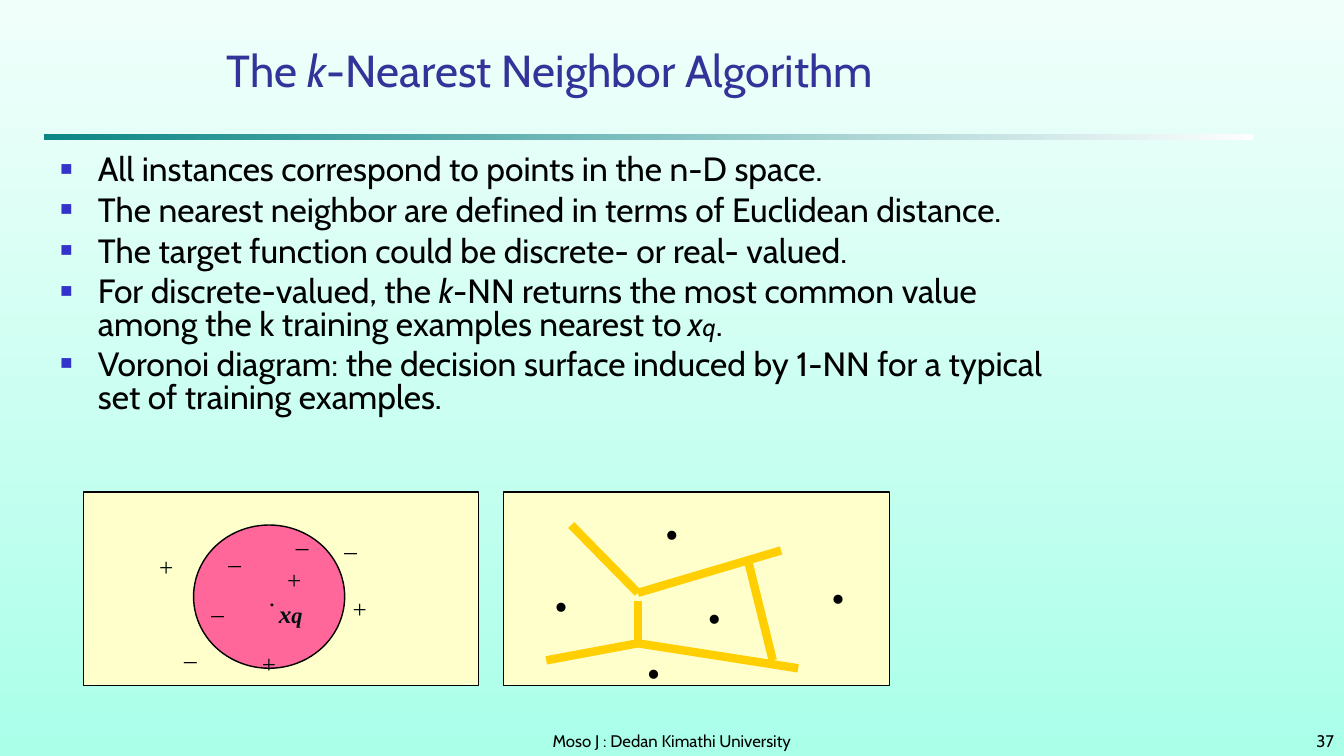
import lxml.etree
import pptx
import pptx.dml.color
import pptx.enum.shapes
import pptx.enum.text
import pptx.oxml.ns
import pptx.util

Cm = pptx.util.Cm
Pt = pptx.util.Pt
RGBColor = pptx.dml.color.RGBColor
Shape = pptx.enum.shapes.MSO_SHAPE
Align = pptx.enum.text.PP_ALIGN
Anchor = pptx.enum.text.MSO_ANCHOR
qn = pptx.oxml.ns.qn

BLACK = RGBColor(0x00, 0x00, 0x00)
INK = RGBColor(0x00, 0x10, 0x10)
WHITE = RGBColor(0xFF, 0xFF, 0xFF)
INDIGO = RGBColor(0x33, 0x33, 0x99)
BULLET_BLUE = RGBColor(0x33, 0x33, 0xCC)
TEAL = RGBColor(0x00, 0x80, 0x80)
MINT_LIGHT = RGBColor(0xF1, 0xFF, 0xFB)
MINT = RGBColor(0xAA, 0xFF, 0xE9)
CREAM = RGBColor(0xFF, 0xFF, 0xCC)
PINK = RGBColor(0xFF, 0x66, 0x99)
GOLD = RGBColor(0xFF, 0xCF, 0x01)

SANS = "Cabin"
SERIF = "Times New Roman"

BULLETS = [
    [("All instances correspond to points in the n-D space.", 24, False)],
    [("The nearest neighbor are defined in terms of Euclidean distance.", 24, False)],
    [("The target function could be discrete- or real- valued.", 24, False)],
    [
        ("For discrete-valued, the ", 24, False),
        ("k", 24, True),
        ("-NN returns the most common value among the k training examples nearest to", 24, False),
        (" ", 20, False),
        ("x", 24, True),
        ("q", 18, True),
        (".", 24, False),
    ],
    [("Voronoi diagram: the decision surface induced by 1-NN for a typical "
      "set of training examples.", 24, False)],
]
MINUSES = [(5.51, 13.46), (5.08, 14.73), (7.21, 13.03), (8.43, 13.13), (4.39, 15.88)]
PLUSES = [(6.99, 14.1), (6.35, 16.21), (3.76, 13.77), (8.64, 14.83)]
POINTS = [(16.51, 12.07), (17.58, 14.17), (16.05, 15.57), (13.72, 13.87), (20.7, 13.67)]
UPPER_NODE = (16.08, 14.94)
LOWER_NODE = (16.08, 16.21)
CELL_EDGES = [
    ((14.4, 13.23), UPPER_NODE),
    (UPPER_NODE, (19.69, 13.87)),
    (LOWER_NODE, (20.12, 16.84)),
    (LOWER_NODE, (13.77, 16.64)),
    ((18.85, 14.1), (19.48, 16.64)),
    ((16.08, 15.14), LOWER_NODE),
]


class SlideBuilder:
    def __init__(self, slide):
        self.slide = slide

    def gradient(self, fill, colours, angle):
        fill.gradient()
        fill.gradient_angle = angle
        for stop, position, colour in zip(fill.gradient_stops, (0, 1), colours):
            stop.position = position
            stop.color.rgb = colour

    def shape(self, kind, bounds, colour):
        shape = self.slide.shapes.add_shape(kind, *map(Cm, bounds))
        shape.shadow.inherit = False
        shape.fill.solid()
        shape.fill.fore_color.rgb = colour
        shape.line.color.rgb = BLACK
        shape.line.width = Pt(1)
        return shape

    def rule(self, bounds):
        bar = self.shape(Shape.RECTANGLE, bounds, TEAL)
        bar.line.fill.background()
        self.gradient(bar.fill, (TEAL, WHITE), 0)
        first = next(bar.fill._xPr.iter(qn("a:srgbClr")))
        lxml.etree.SubElement(first, qn("a:alpha"), val="95000")

    def edge(self, start, end):
        line = self.slide.shapes.add_connector(
            pptx.enum.shapes.MSO_CONNECTOR.STRAIGHT, *map(Cm, start + end))
        line.line.color.rgb = GOLD
        line.line.width = Pt(6)
        lxml.etree.SubElement(line._element.spPr, qn("a:effectLst"))

    def spans(self, para, parts, font, colour, bold=False):
        for text, size, italic in parts:
            span = para.add_run()
            span.text = text
            span.font.name = font
            span.font.size = Pt(size)
            span.font.color.rgb = colour
            span.font.italic = italic
            span.font.bold = bold

    def text(self, bounds, parts, colour=BLACK, align=Align.CENTER):
        frame = self.slide.shapes.add_textbox(*map(Cm, bounds)).text_frame
        frame.word_wrap = True
        frame.vertical_anchor = Anchor.BOTTOM
        para = frame.paragraphs[0]
        para.alignment = align
        self.spans(para, parts, SANS, colour)
        return para

    def label(self, corner, size, parts, colour=BLACK, bold=False):
        box = self.slide.shapes.add_textbox(*map(Cm, corner + size))
        frame = box.text_frame
        frame.word_wrap = False
        frame.auto_size = pptx.enum.text.MSO_AUTO_SIZE.SHAPE_TO_FIT_TEXT
        self.spans(frame.paragraphs[0], parts, SERIF, colour, bold)

    def bullets(self, bounds, items):
        frame = self.slide.shapes.add_textbox(*map(Cm, bounds)).text_frame
        frame.word_wrap = True
        for index, parts in enumerate(items):
            para = frame.add_paragraph() if index else frame.paragraphs[0]
            props = para._p.get_or_add_pPr()
            props.set("marL", str(Cm(0.95)))
            props.set("indent", str(Cm(-0.95)))
            tint = lxml.etree.SubElement(props, qn("a:buClr"))
            lxml.etree.SubElement(tint, qn("a:srgbClr"), val=str(BULLET_BLUE))
            lxml.etree.SubElement(props, qn("a:buSzPct"), val="60000")
            lxml.etree.SubElement(props, qn("a:buFont"), typeface=SERIF)
            lxml.etree.SubElement(props, qn("a:buChar"), char="■")
            para.line_spacing = 0.8
            para.space_before = Pt(6 if index else 0)
            self.spans(para, parts, SANS, BLACK)

    def query_circle(self, bounds):
        frame = self.shape(Shape.OVAL, bounds, PINK).text_frame
        frame.word_wrap = False
        frame.vertical_anchor = Anchor.MIDDLE
        frame.margin_left = Cm(0.4)
        frame.paragraphs[0].alignment = Align.CENTER
        self.spans(frame.paragraphs[0], [(".", 18, False)], SERIF, BLACK)


def main():
    deck = pptx.Presentation()
    deck.slide_width = Cm(33.88)
    deck.slide_height = Cm(19.05)
    page = deck.slides.add_slide(deck.slide_layouts[6])
    builder = SlideBuilder(page)
    builder.gradient(page.background.fill, (MINT_LIGHT, MINT), 270)

    builder.rule((1.12, 3.38, 30.45, 0.13))
    title = builder.text(
        (2.54, 0.64, 22.66, 1.91),
        [("The ", 32, False), ("k", 32, True), ("-Nearest Neighbor Algorithm", 32, False)],
        INDIGO)
    title.line_spacing = 1.1
    builder.bullets((1.27, 3.81, 25.76, 8.26), BULLETS)
    builder.text((11.58, 17.98, 10.72, 1.07),
                 [("Moso J : Dedan Kimathi University", 12, False)])
    builder.text((26.82, 17.98, 7.06, 1.07), [("37", 12, False)], align=Align.RIGHT)

    builder.shape(Shape.RECTANGLE, (2.11, 12.4, 9.96, 4.88), CREAM)
    builder.query_circle((4.88, 13.23, 3.81, 3.61))
    for corner in MINUSES:
        builder.label(corner, (0.81, 1.02), [("_", 18, False)])
    for corner in PLUSES:
        builder.label(corner, (0.86, 1.02), [("+", 18, False)], INK)
    builder.label((6.78, 14.94), (1.25, 1.02), [("x", 18, True), ("q", 16, True)], INK, True)

    builder.shape(Shape.RECTANGLE, (12.7, 12.4, 9.73, 4.88), CREAM)
    for start, end in CELL_EDGES:
        builder.edge(start, end)
    for corner in POINTS:
        builder.label(corner, (0.86, 1.96), [(".", 40, False)], bold=True)

    deck.save("out.pptx")


if __name__ == "__main__":
    main()
